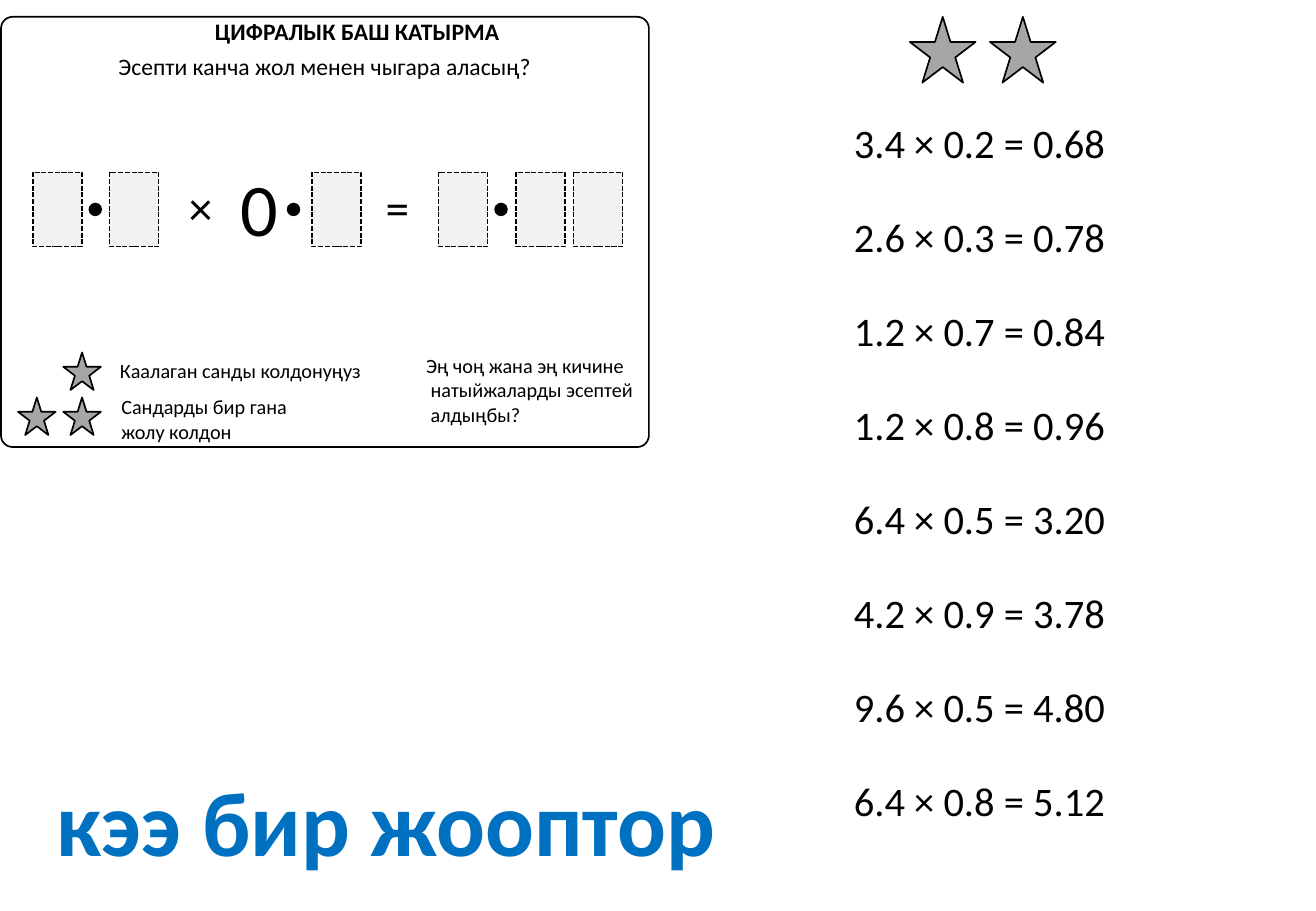
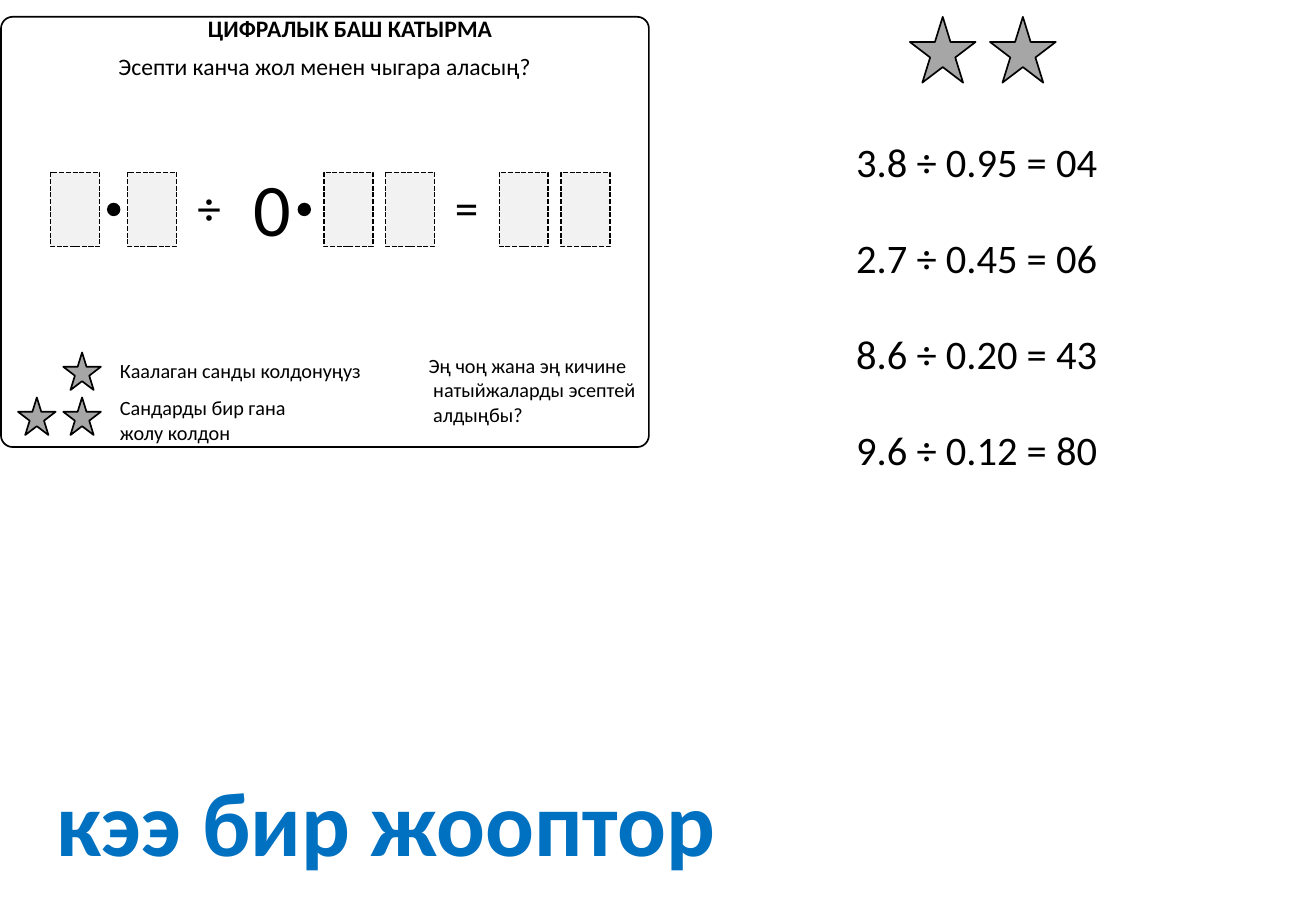
from dataclasses import dataclass
from typing import Any, Optional

import pptx
import pptx.util
import pptx.dml.color
import pptx.enum.dml
import pptx.enum.shapes
import pptx.enum.text

Pt = pptx.util.Pt
RGBColor = pptx.dml.color.RGBColor
MSO_SHAPE = pptx.enum.shapes.MSO_SHAPE
PP_ALIGN = pptx.enum.text.PP_ALIGN

BLACK = RGBColor(0x00, 0x00, 0x00)
BLUE = RGBColor(0x00, 0x70, 0xC0)
STAR_GREY = RGBColor(0xA6, 0xA6, 0xA6)
CELL_GREY = RGBColor(0xF2, 0xF2, 0xF2)
FONT = "Calibri"
TITLE_ONLY = 5

CELL_TOP, CELL_WIDTH, CELL_HEIGHT = 102.25, 29, 44
DOT_TOP, DOT_SIZE = 120.2, 8
RULE_STAR_SIZE, ANSWER_STAR_SIZE = 22.3, 39


@dataclass(frozen=True)
class Box:
    left: float
    top: float
    width: float
    height: float

    def lengths(self) -> tuple:
        return Pt(self.left), Pt(self.top), Pt(self.width), Pt(self.height)


@dataclass(frozen=True)
class Number:
    cells: tuple[float, ...]
    dot: Optional[float] = None
    zero: Optional[float] = None


@dataclass(frozen=True)
class Operator:
    sign: str
    left: float


@dataclass(frozen=True)
class Puzzle:
    title: Box
    rule: Box
    challenge: Box
    numbers: tuple[Number, ...]
    operators: tuple[Operator, ...]
    answers: tuple[str, ...]
    answer_box: Box
    answer_pitch: float


PUZZLES = (
    Puzzle(
        title=Box(120.2, 10.1, 184.3, 17.3),
        rule=Box(64.8, 230.4, 116.6, 36),
        challenge=Box(245.5, 206, 139, 80),
        numbers=(
            Number((19.5, 65), dot=52.5),
            Number((185,), dot=170, zero=135.4),
            Number((260, 306, 340), dot=293),
        ),
        operators=(Operator("×", 104.4), Operator("=", 221)),
        answers=(
            "3.4 × 0.2 = 0.68", "2.6 × 0.3 = 0.78", "1.2 × 0.7 = 0.84", "1.2 × 0.8 = 0.96",
            "6.4 × 0.5 = 3.20", "4.2 × 0.9 = 3.78", "9.6 × 0.5 = 4.80", "6.4 × 0.8 = 5.12",
        ),
        answer_box=Box(499, 66.3, 164, 36),
        answer_pitch=55.75,
    ),
    Puzzle(
        title=Box(116, 8, 184.3, 17.3),
        rule=Box(64, 231, 116.6, 36),
        challenge=Box(247, 206, 139, 80),
        numbers=(
            Number((30, 75.6), dot=63.4),
            Number((192, 228.5), dot=176.4, zero=143.3),
            Number((296, 332.6)),
        ),
        operators=(Operator("÷", 109.4), Operator("=", 262)),
        answers=("3.8 ÷ 0.95 = 04", "2.7 ÷ 0.45 = 06", "8.6 ÷ 0.20 = 43", "9.6 ÷ 0.12 = 80"),
        answer_box=Box(500.4, 77.8, 158.4, 36),
        answer_pitch=56.9,
    ),
)


def write(holder: Any, text: str, size: float, color: RGBColor = BLACK,
          bold: bool = False, align: PP_ALIGN = PP_ALIGN.LEFT) -> Any:
    frame = holder.text_frame
    frame.text = text
    frame.word_wrap = False
    frame.auto_size = pptx.enum.text.MSO_AUTO_SIZE.SHAPE_TO_FIT_TEXT
    frame.vertical_anchor = pptx.enum.text.MSO_ANCHOR.TOP
    for paragraph in frame.paragraphs:
        paragraph.alignment = align
        for run in paragraph.runs:
            run.font.name = FONT
            run.font.size = Pt(size)
            run.font.bold = bold
            run.font.color.rgb = color
    return frame


def add_text(shapes: Any, box: Box, text: str, size: float, **style: Any) -> Any:
    return write(shapes.add_textbox(*box.lengths()), text, size, **style)


def add_figure(shapes: Any, kind: MSO_SHAPE, box: Box, fill: Optional[RGBColor],
               outlined: bool = True) -> Any:
    figure = shapes.add_shape(kind, *box.lengths())
    figure.shadow.inherit = False
    if fill is None:
        figure.fill.background()
    else:
        figure.fill.solid()
        figure.fill.fore_color.rgb = fill
    if outlined:
        figure.line.color.rgb = BLACK
        figure.line.width = Pt(1)
    else:
        figure.line.fill.background()
    return figure


def add_star(shapes: Any, left: float, top: float, size: float) -> None:
    add_figure(shapes, MSO_SHAPE.STAR_5_POINT, Box(left, top, size, size), STAR_GREY)


def add_number(slide: Any, number: Number) -> None:
    shapes = slide.shapes.add_group_shape().shapes
    for left in number.cells:
        cell = add_figure(shapes, MSO_SHAPE.RECTANGLE,
                          Box(left, CELL_TOP, CELL_WIDTH, CELL_HEIGHT), CELL_GREY)
        cell.line.dash_style = pptx.enum.dml.MSO_LINE.SQUARE_DOT
        cell.line.dash_style = pptx.enum.dml.MSO_LINE.SQUARE_DOT
    if number.dot is not None:
        add_figure(shapes, MSO_SHAPE.OVAL, Box(number.dot, DOT_TOP, DOT_SIZE, DOT_SIZE),
                   BLACK, outlined=False)
    if number.zero is not None:
        add_text(shapes, Box(number.zero, 92.4, 36.6, 60.6), "0", 44)


def add_card(slide: Any, puzzle: Puzzle) -> None:
    shapes = slide.shapes
    card = add_figure(shapes, MSO_SHAPE.ROUNDED_RECTANGLE, Box(0.6, 10, 384, 255), None)
    card.adjustments[0] = 0.027

    title = shapes.title
    title.left, title.top, title.width, title.height = puzzle.title.lengths()
    heading = write(title, "ЦИФРАЛЫК БАШ КАТЫРМА", 14, bold=True)
    heading.margin_left = heading.margin_right = Pt(7.2)
    heading.margin_top = heading.margin_bottom = Pt(0)

    add_text(shapes, Box(59, 27.4, 267, 24.2), "Эсепти канча жол менен чыгара аласың?", 14,
             align=PP_ALIGN.CENTER)
    for left, top in ((37.5, 208.9), (37.5, 235.6), (10.7, 235.6)):
        add_star(shapes, left, top, RULE_STAR_SIZE)
    add_text(shapes, Box(64, 209, 159, 21.8), "Каалаган санды колдонуңуз", 12)
    add_text(shapes, puzzle.rule, "Сандарды бир гана\nжолу колдон", 12)
    challenge = add_text(shapes, puzzle.challenge,
                         "Эң чоң жана эң кичине\nнатыйжаларды эсептей\nалдыңбы?", 12)
    for paragraph in challenge.paragraphs[1:]:
        paragraph._p.get_or_add_pPr().set("marL", str(Pt(2.7)))

    for number in puzzle.numbers:
        add_number(slide, number)
    for operator in puzzle.operators:
        add_text(shapes, Box(operator.left, 102.25, 29, 41), operator.sign, 28,
                 align=PP_ALIGN.CENTER)


def add_answers(slide: Any, puzzle: Puzzle) -> None:
    add_text(slide.shapes, Box(26.6, 450, 409, 72.7), "кээ бир жооптор", 54,
             color=BLUE, bold=True)
    stars = slide.shapes.add_group_shape().shapes
    for left in (539.3, 586.8):
        add_star(stars, left, 10, ANSWER_STAR_SIZE)
    first = puzzle.answer_box
    for row, answer in enumerate(puzzle.answers):
        top = first.top + row * puzzle.answer_pitch
        add_text(slide.shapes, Box(first.left, top, first.width, first.height), answer, 24)


def main() -> None:
    presentation = pptx.Presentation()
    presentation.slide_width, presentation.slide_height = Pt(780), Pt(540)
    for puzzle in PUZZLES:
        slide = presentation.slides.add_slide(presentation.slide_layouts[TITLE_ONLY])
        add_card(slide, puzzle)
        add_answers(slide, puzzle)
    presentation.save("out.pptx")


if __name__ == "__main__":
    main()
